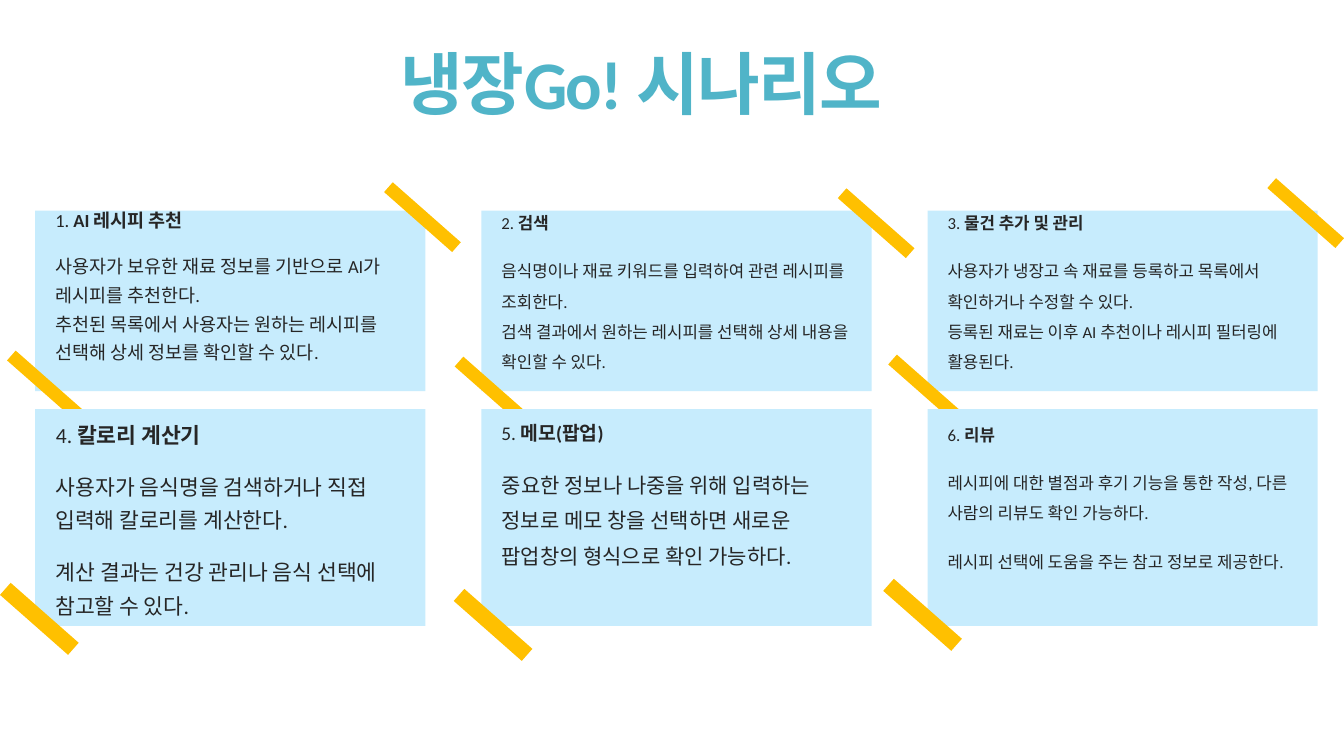
"""Build the six-card scenario slide."""
from copy import deepcopy
from dataclasses import dataclass

from lxml import etree
from pptx import Presentation, util as u
from pptx.dml.color import RGBColor
from pptx.enum import shapes, text
from pptx.oxml.ns import qn

HUES = {"title": "50B4C8", "card": "C7ECFD", "tape": "FFC000", "ink": "262626"}
CELL = u.Inches(0.1)
LEFT, PITCH, WIDTH = 3.5, 44.25, 38.7
TOPS, TALLS = (20.9, 40.6), (17.9, 21.5)
FRAME = {"word_wrap": True, "vertical_anchor": text.MSO_ANCHOR.TOP}


@dataclass
class Card:
    """A numbered card; spaces holds line spacing for head and body."""
    head: str
    body: tuple[str, ...]
    size: float
    spaces: tuple[float, float]
    large: float = 0


@dataclass
class Tape:
    """A slanted strip placed by column and row."""
    col: float
    row: float
    tall: float


CARDS = [
    Card("AI 레시피 추천",
         ("사용자가 보유한 재료 정보를 기반으로 AI가 레시피를 추천한다.\v"
          "추천된 목록에서 사용자는 원하는 레시피를 선택해 상세 정보를 확인할 수 있다.",),
         13.2, (0.65, 1.3)),
    Card("검색",
         ("음식명이나 재료 키워드를 입력하여 관련 레시피를 조회한다.\v"
          "검색 결과에서 원하는 레시피를 선택해 상세 내용을 확인할 수 있다.",),
         12, (0.85, 1.5)),
    Card("물건 추가 및 관리",
         ("사용자가 냉장고 속 재료를 등록하고 목록에서 확인하거나 수정할 수 있다.\v"
          "등록된 재료는 이후 AI 추천이나 레시피 필터링에 활용된다.",),
         12, (0.85, 1.5)),
    Card("칼로리 계산기",
         ("사용자가 음식명을 검색하거나 직접 입력해 칼로리를 계산한다.",
          "계산 결과는 건강 관리나 음식 선택에 참고할 수 있다."),
         15.4, (1.3, 1.3)),
    Card("메모(팝업)",
         ("중요한 정보나 나중을 위해 입력하는 정보로 메모 창을 선택하면 새로운 "
          "팝업창의 형식으로 확인 가능하다.",),
         13.8, (1.3, 1.4), 15),
    Card("리뷰",
         ("레시피에 대한 별점과 후기 기능을 통한 작성, 다른 사람의 리뷰도 확인 가능하다.",
          "레시피 선택에 도움을 주는 참고 정보로 제공한다."),
         12, (1.5, 1.5)),
]
TAPES = [
    [Tape(37.4, 20.9, 1.3), Tape(0, 37.6, 1.3), Tape(82.4, 21.5, 1.3),
     Tape(44.4, 38.2, 1.3), Tape(125, 20.5, 1.3), Tape(87.4, 38, 1.3)],
    [Tape(-0.6, 60.6, 1.6), Tape(44.4, 61.2, 1.6), Tape(87, 60.2, 1.6)],
]


def apply(item: object, form: dict) -> None:
    """Set each format value on the item."""
    for name, value in form.items():
        setattr(item, name, value)


def place(*cells: float) -> list[int]:
    """Turn grid cells into lengths."""
    return [round(n * CELL) for n in cells]


def ink(run, size: float, bold: bool, hue: str) -> None:
    """Format one run."""
    apply(run.font, {"name": "Calibri", "size": u.Pt(size), "bold": bold})
    run.font.color.rgb = RGBColor.from_string(HUES[hue])


def draw_box(slide, spot: list[int], hue: str):
    """Draw a plain filled rectangle."""
    box = slide.shapes.add_shape(shapes.MSO_SHAPE.RECTANGLE, *spot)
    box.shadow.inherit = False
    box.fill.solid()
    box.fill.fore_color.rgb = RGBColor.from_string(HUES[hue])
    box.line.fill.background()
    return box


def indent(para, space: float) -> None:
    """Give a paragraph its spacing and hanging blank bullet."""
    apply(para, {"alignment": text.PP_ALIGN.LEFT, "line_spacing": space,
                 "space_before": u.Pt(13)})
    props = para._p.get_or_add_pPr()
    props.set("marL", str(CELL))
    props.set("indent", str(-CELL))
    etree.SubElement(props, qn("a:buChar")).set("char", " ")


def draw_card(slide, card: Card, index: int) -> None:
    """Draw a card with its heading and body."""
    row, col = divmod(index, 3)
    box = draw_box(slide, place(LEFT + col * PITCH, TOPS[row], WIDTH, TALLS[row]), "card")
    frame = box.text_frame
    apply(frame, FRAME)
    head = frame.paragraphs[0]
    indent(head, card.spaces[0])
    for words, bold in ((f"{index + 1}. ", False), (card.head, True)):
        run = head.add_run()
        run.text = words
        ink(run, card.size, bold, "ink")
    for words in card.body:
        para = frame.add_paragraph()
        para.text = words
        indent(para, card.spaces[1])
        for run in para.runs:
            ink(run, card.large or card.size, False, "ink")
        for gap in para._p.findall(qn("a:br")):
            gap.insert(0, deepcopy(para.runs[0]._r.rPr))


def draw_tape(slide, tape: Tape) -> None:
    """Draw one slanted strip."""
    draw_box(slide, place(tape.col, tape.row, 9, tape.tall), "tape").rotation = 41.4


def draw_title(slide) -> None:
    """Draw the centred title."""
    frame = slide.shapes.add_textbox(*place(8.3, 5.5, 110.6, 6.6)).text_frame
    apply(frame, FRAME | {"vertical_anchor": text.MSO_ANCHOR.MIDDLE})
    para = frame.paragraphs[0]
    apply(para, {"alignment": text.PP_ALIGN.CENTER, "line_spacing": 0.85})
    run = para.add_run()
    run.text = "냉장Go! 시나리오"
    ink(run, 48.6, True, "title")
    run._r.get_or_add_rPr().set("spc", "-120")


def main() -> None:
    """Build and save the slide."""
    deck = Presentation()
    apply(deck, {"slide_width": u.Inches(13.33), "slide_height": u.Inches(7.5)})
    slide = deck.slides.add_slide(deck.slide_layouts[6])
    draw_title(slide)
    for row, tapes in enumerate(TAPES):
        for index in range(row * 3, row * 3 + 3):
            draw_card(slide, CARDS[index], index)
        for tape in tapes:
            draw_tape(slide, tape)
    deck.save("out.pptx")


if __name__ == "__main__":
    main()
